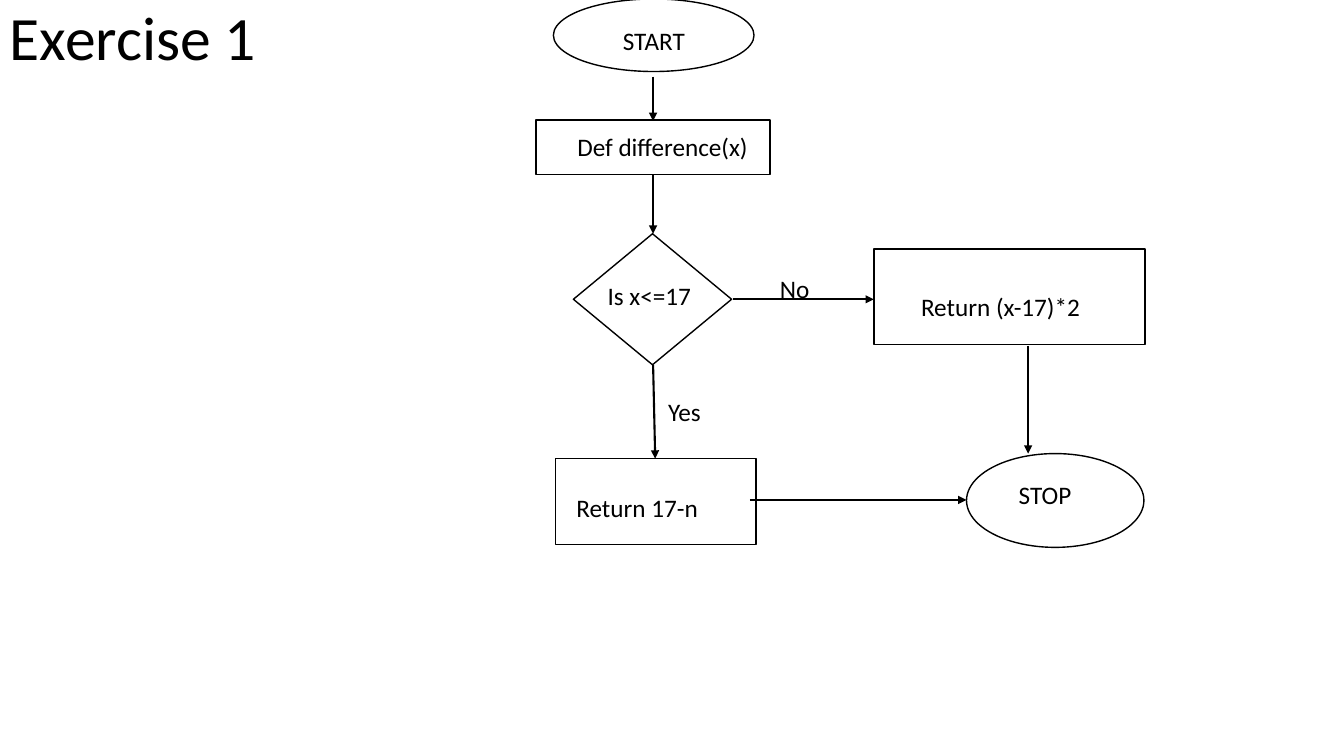
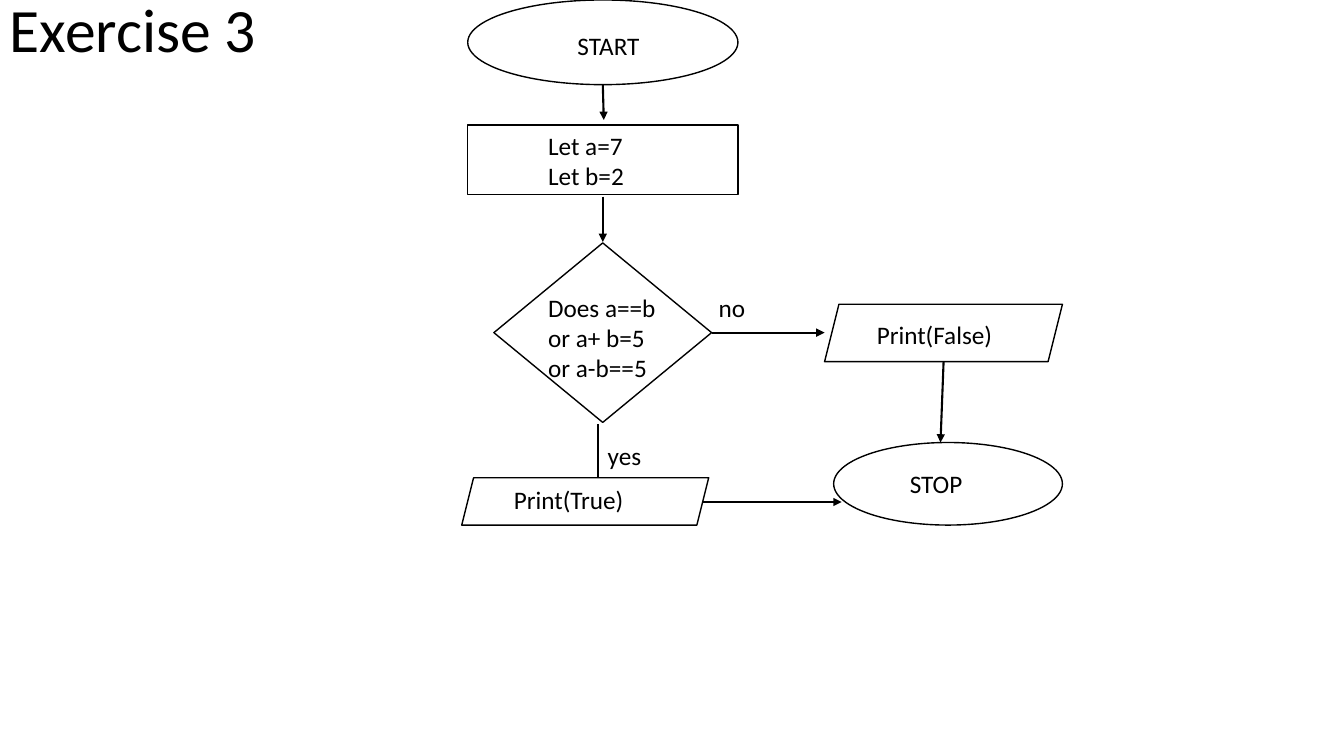
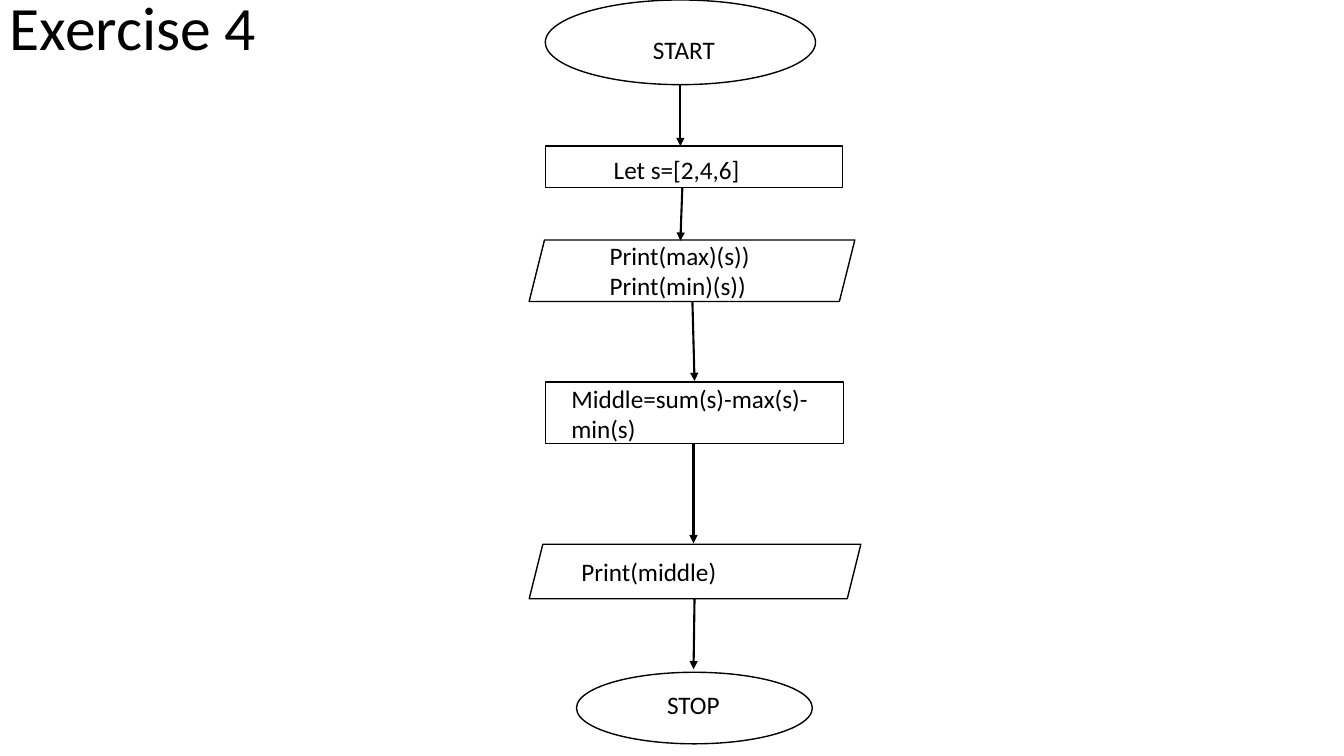
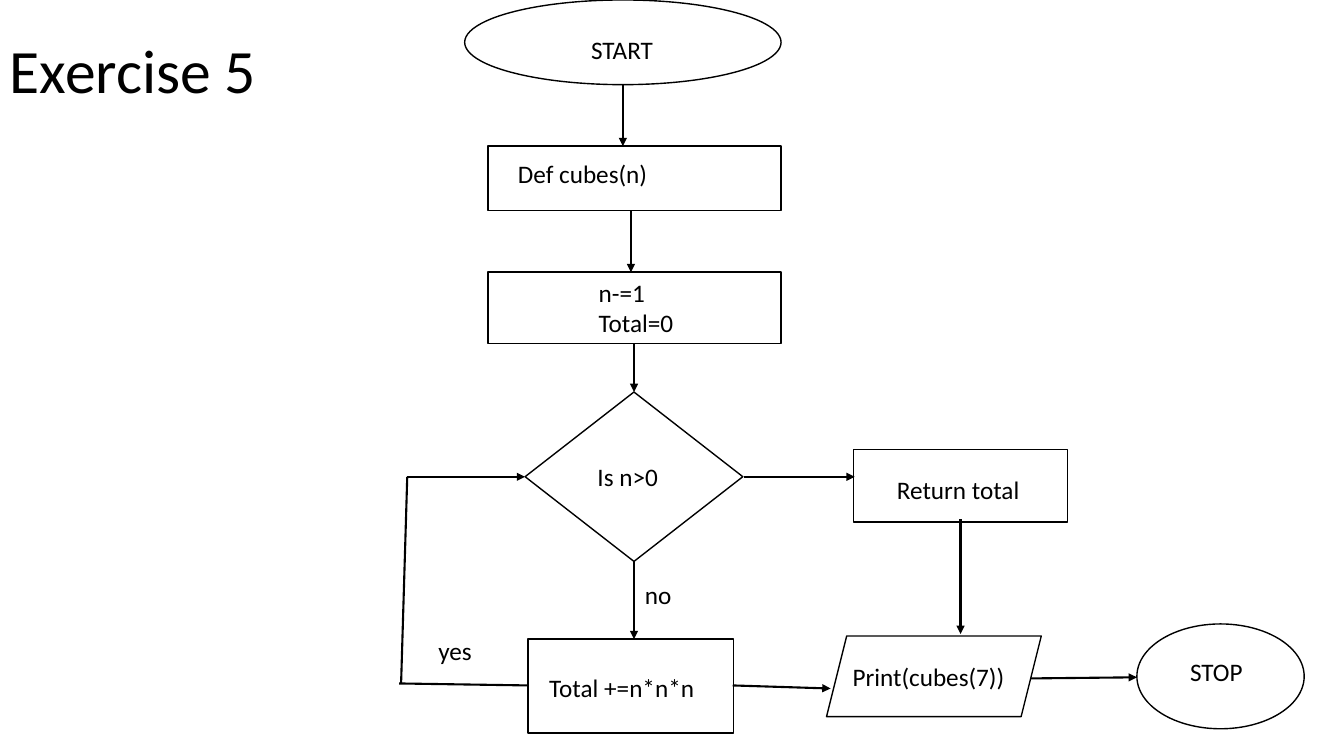
from dataclasses import dataclass

from lxml.etree import SubElement
from pptx import Presentation
from pptx.dml.color import RGBColor
from pptx.enum.shapes import MSO_CONNECTOR, MSO_SHAPE
from pptx.enum.text import MSO_ANCHOR
from pptx.oxml.ns import qn
from pptx.util import Pt

BLACK = RGBColor(0x00, 0x00, 0x00)
WHITE = RGBColor(0xFF, 0xFF, 0xFF)
OVAL = MSO_SHAPE.OVAL
RECT = MSO_SHAPE.RECTANGLE
TEST = MSO_SHAPE.FLOWCHART_DECISION
PRINT = MSO_SHAPE.PARALLELOGRAM
ONE, TWO, THREE = 29, 51, 72.7
BODY = {"name": "Calibri", "size": Pt(18)}
HEAD = {"name": "Calibri", "size": Pt(44)}


@dataclass
class Step:
    """Holds a flowchart shape and its label, placed relative to the shape."""
    kind: MSO_SHAPE
    box: tuple
    text: str
    label: tuple
    tall: float = ONE


def write(slide, box, text, style=BODY, anchor=MSO_ANCHOR.TOP, spacing=1.0):
    """Adds a wrapped text box with one paragraph per line of text."""
    frame = slide.shapes.add_textbox(*map(Pt, box)).text_frame
    frame.word_wrap = True
    frame.vertical_anchor = anchor
    frame.text = text
    for para in frame.paragraphs:
        para.line_spacing = spacing
        for key, value in style.items():
            setattr(para.font, key, value)
        para.font.color.rgb = BLACK


def title(slide, top, text):
    """Adds the slide title, centred vertically in its band."""
    write(slide, (0, top, 828, 104.4), text, HEAD, MSO_ANCHOR.MIDDLE, 0.9)


def outline(slide, left, step):
    """Draws the outlined shape of one step."""
    x, y, wide, high = step.box
    shape = slide.shapes.add_shape(step.kind, *map(Pt, (left + x, y, wide, high)))
    shape.shadow.inherit = False
    shape.fill.solid()
    shape.fill.fore_color.rgb = WHITE
    shape.line.color.rgb = BLACK
    shape.line.width = Pt(1)


def link(slide, left, ends, arrow):
    """Draws a straight connector, with an arrowhead at its end if asked."""
    x1, y1, x2, y2 = ends
    line = slide.shapes.add_connector(
        MSO_CONNECTOR.STRAIGHT, *map(Pt, (left + x1, y1, left + x2, y2)))
    line.line.color.rgb = BLACK
    line.line.width = Pt(1.5)
    if arrow:
        SubElement(line.line._get_or_add_ln(), qn("a:tailEnd"), type="triangle")
    SubElement(line._element.spPr, qn("a:effectLst"))


def flow(slide, left, steps, arrows, lines=(), tags=()):
    """Draws a flowchart whose parts are measured from its left edge."""
    for step in steps:
        outline(slide, left, step)
    for group, arrow in ((arrows, True), (lines, False)):
        for ends in group:
            link(slide, left, ends, arrow)
    for step in steps:
        x, y = step.box[:2]
        dx, dy, wide = step.label
        write(slide, (left + x + dx, y + dy, wide, step.tall), step.text)
    for text, x, y, wide in tags:
        write(slide, (left + x, y, wide, ONE), text)


def difference(slide):
    """Builds the slide for exercise 1."""
    title(slide, -23, "Exercise 1")
    steps = [
        Step(OVAL, (12.3, -0.7, 143.3, 51.8), "START", (42.5, 15.1, 97.9)),
        Step(RECT, (0, 85.7, 167, 38.9), "Def difference(x)", (22.3, 4.3, 154.8)),
        Step(TEST, (26.6, 167, 113, 93.6), "Is x<=17", (17.3, 29.5, 81.4)),
        Step(RECT, (241.2, 177.8, 193.7, 68.4), "Return (x-17)*2", (26.6, 26.6, 166.3)),
        Step(RECT, (13.7, 327.6, 143.3, 61.2), "Return 17-n", (7.9, 20.2, 123.8)),
        Step(OVAL, (307.4, 324, 126.7, 67), "STOP", (30.2, 15.1, 125.3)),
    ]
    arrows = [
        (83.5, 54.7, 83.5, 86.4),
        (83.5, 124.6, 83.5, 167),
        (83.5, 260.6, 85, 327.6),
        (140.4, 213.8, 241.2, 213.8),
        (152.6, 357.1, 307.4, 357.1),
        (351.4, 247, 351.4, 324),
    ]
    tags = [("Yes", 87.1, 279.4, 91.4), ("No", 167, 191.5, 51.8)]
    flow(slide, 383, steps, arrows, tags=tags)


def compare(slide):
    """Builds the slide for exercise 3."""
    title(slide, -28.8, "Exercise 3")
    steps = [
        Step(OVAL, (4.3, 0, 193, 60.5), "START", (71.3, 18, 118.8)),
        Step(RECT, (4.3, 89.3, 193, 49.7), "Let a=7\nLet b=2", (50.4, 0, 242.6), TWO),
        Step(TEST, (23, 173.5, 155.5, 128.2), "Does a==b or a+ b=5 or a-b==5",
             (31.7, 31.7, 92.9), THREE),
        Step(PRINT, (0, 341.3, 176.4, 33.8), "Print(True)", (30.2, 1.4, 116.6)),
        Step(PRINT, (259.2, 217.4, 169.9, 41), "Print(False)", (30.2, 7.2, 105.1)),
        Step(OVAL, (265.7, 316.1, 163.4, 59), "STOP", (47.3, 15.1, 80.9)),
    ]
    arrows = [
        (100.8, 60.5, 101.5, 85.7),
        (100.8, 140.4, 100.8, 172.8),
        (178.6, 237.6, 259.2, 237.6),
        (344.2, 258.5, 342, 316.1),
        (172.1, 358.6, 271.4, 358.6),
    ]
    lines = [(97.2, 303.1, 97.2, 341.3)]
    tags = [("yes", 97.2, 311, 93.6), ("no", 176.4, 205.2, 95)]
    flow(slide, 329.8, steps, arrows, lines, tags)


def middle(slide):
    """Builds the slide for exercise 4."""
    title(slide, -30.2, "Exercise 4")
    steps = [
        Step(OVAL, (11.5, 0, 193, 60.5), "START", (69.8, 20.9, 105.1)),
        Step(RECT, (11.5, 104.4, 212.4, 29.5), "Let s=[2,4,6]", (41.8, 2.2, 111.6)),
        Step(PRINT, (0, 171.4, 232.6, 43.9), "Print(max)(s))\nPrint(min)(s))",
             (50.4, -3.6, 152.6), TWO),
        Step(RECT, (11.5, 272.9, 213.1, 43.9), "Middle=sum(s)-max(s)-min(s)",
             (11.5, -2.9, 213.1), TWO),
        Step(PRINT, (0, 388.8, 236.9, 38.9), "Print(middle)", (30.2, 5, 175)),
        Step(OVAL, (33.8, 480.2, 168.5, 51.1), "STOP", (57.6, 8.6, 95)),
    ]
    arrows = [
        (108, 60.5, 108, 104.4),
        (109.4, 133.9, 108, 172),
        (116.6, 215.3, 118.1, 272.2),
        (117.4, 316.1, 117.4, 388.1),
        (118.1, 427.7, 117.4, 478.1),
    ]
    flow(slide, 378, steps, arrows)


def cubes(slide):
    """Builds the slide for exercise 5."""
    title(slide, 0, "Exercise 5")
    steps = [
        Step(OVAL, (46.8, 0, 226, 60.5), "START", (83.2, 20.9, 88.1)),
        Step(RECT, (63.4, 104.4, 209.5, 46), "Def cubes(n)", (14.4, 5, 180.7)),
        Step(RECT, (63.4, 194.4, 209.5, 51), "n-=1\nTotal=0", (72, 0, 190), TWO),
        Step(TEST, (90, 280, 155.5, 121), "Is n>0", (44.6, 46, 80.6)),
        Step(RECT, (92.2, 456.5, 146.9, 67), "Total +=n*n*n", (7.9, 20.2, 128.9)),
        Step(RECT, (324.7, 321, 152.6, 51.8), "Return total", (23.8, 14.4, 119.5)),
        Step(PRINT, (305.3, 454.3, 153.4, 57.6), "Print(cubes(7))", (11.5, 14.4, 128.9)),
        Step(OVAL, (527, 445.7, 119.5, 74.9), "STOP", (30.9, 19.4, 89.3)),
    ]
    arrows = [
        (159.8, 60.5, 159.8, 104.4),
        (165.6, 150.5, 165.6, 194.4),
        (167.8, 245.5, 167.8, 280),
        (246.2, 340.6, 325.4, 340.6),
        (167.8, 401, 167.8, 456.5),
        (401, 370.8, 401, 452.9),
        (5.8, 340.6, 90, 340.6),
        (238.3, 489.6, 308.2, 491.8),
        (451.4, 484.6, 527, 483.8),
    ]
    lines = [(92.2, 489.6, 0, 488.2), (1.4, 488.2, 5.8, 340.6)]
    tags = [("yes", 20.9, 450, 56.9), ("no", 168.5, 410.4, 94.3)]
    flow(slide, 285.1, steps, arrows, lines, tags)


def main():
    """Builds and saves the four slides."""
    deck = Presentation()
    deck.slide_width, deck.slide_height = Pt(960), Pt(540)
    for build in (difference, compare, middle, cubes):
        build(deck.slides.add_slide(deck.slide_layouts[6]))
    deck.save("out.pptx")


main()
